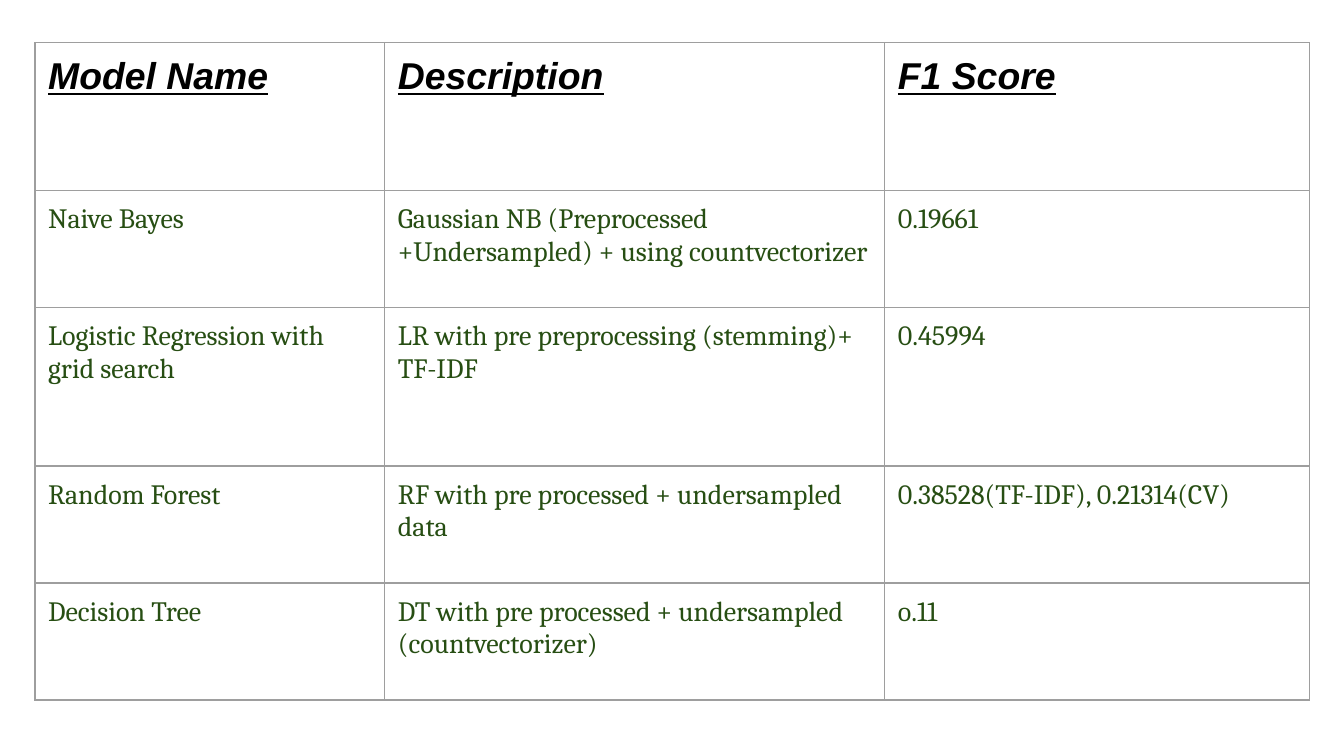
from dataclasses import dataclass

from lxml.etree import SubElement
from pptx import Presentation
from pptx.dml.color import RGBColor
from pptx.oxml.ns import qn
from pptx.table import _Cell as Cell
from pptx.util import Cm, Pt

BLACK = RGBColor(0x00, 0x00, 0x00)
GREEN = RGBColor(0x27, 0x4E, 0x13)
GREY = RGBColor(0x9E, 0x9E, 0x9E)

LEFT, TOP = Cm(0.66), Cm(0.81)
MARGIN = Cm(0.25)
COLUMN_WIDTHS = [Cm(6.61), Cm(9.45), Cm(8.03)]
HEADER_HEIGHT, ROW_HEIGHT, TALL_HEIGHT = Cm(2.79), Cm(2.21), Cm(3)


@dataclass(frozen=True)
class TextStyle:
    font: str
    size: int
    color: RGBColor
    emphasis: bool = False


@dataclass(frozen=True)
class ModelRow:
    name: str
    description: str
    score: str
    height: int = ROW_HEIGHT
    style: TextStyle = TextStyle("Cambria", 15, GREEN)


ROWS = [
    ModelRow("Model Name", "Description", "F1 Score", HEADER_HEIGHT,
             TextStyle("Arial", 20, BLACK, emphasis=True)),
    ModelRow("Naive Bayes",
             "Gaussian NB (Preprocessed +Undersampled) + using countvectorizer",
             "0.19661"),
    ModelRow("Logistic Regression with grid search",
             "LR with pre preprocessing (stemming)+ TF-IDF",
             "0.45994", TALL_HEIGHT),
    ModelRow("Random Forest",
             "RF with pre processed + undersampled data",
             "0.38528(TF-IDF), 0.21314(CV)"),
    ModelRow("Decision Tree",
             "DT with pre processed + undersampled (countvectorizer)",
             "o.11"),
]


def add_borders(cell: Cell, color: RGBColor, width: int) -> None:
    tc_pr = cell._tc.get_or_add_tcPr()
    for side in ("a:lnL", "a:lnR", "a:lnT", "a:lnB"):
        line = SubElement(tc_pr, qn(side), w=str(int(width)))
        fill = SubElement(line, qn("a:solidFill"))
        SubElement(fill, qn("a:srgbClr"), val=str(color))


def fill_cell(cell: Cell, text: str, style: TextStyle) -> None:
    cell.margin_left = cell.margin_right = MARGIN
    cell.margin_top = cell.margin_bottom = MARGIN
    add_borders(cell, GREY, Pt(0.75))
    cell.fill.background()
    cell.text = text
    font = cell.text_frame.paragraphs[0].font
    font.name = style.font
    font.size = Pt(style.size)
    font.color.rgb = style.color
    font.bold = font.italic = font.underline = style.emphasis


def main() -> None:
    prs = Presentation()
    prs.slide_width, prs.slide_height = Cm(25.4), Cm(14.29)
    s = prs.slides.add_slide(prs.slide_layouts[6])

    # Model comparison table
    table = s.shapes.add_table(
        len(ROWS), len(COLUMN_WIDTHS), LEFT, TOP,
        sum(COLUMN_WIDTHS), sum(row.height for row in ROWS)).table
    table.first_row = table.horz_banding = False
    for column, width in zip(table.columns, COLUMN_WIDTHS):
        column.width = width

    # Header and one row per model
    for i, row in enumerate(ROWS):
        table.rows[i].height = row.height
        for j, text in enumerate((row.name, row.description, row.score)):
            fill_cell(table.cell(i, j), text, row.style)

    prs.save("out.pptx")


if __name__ == "__main__":
    main()
